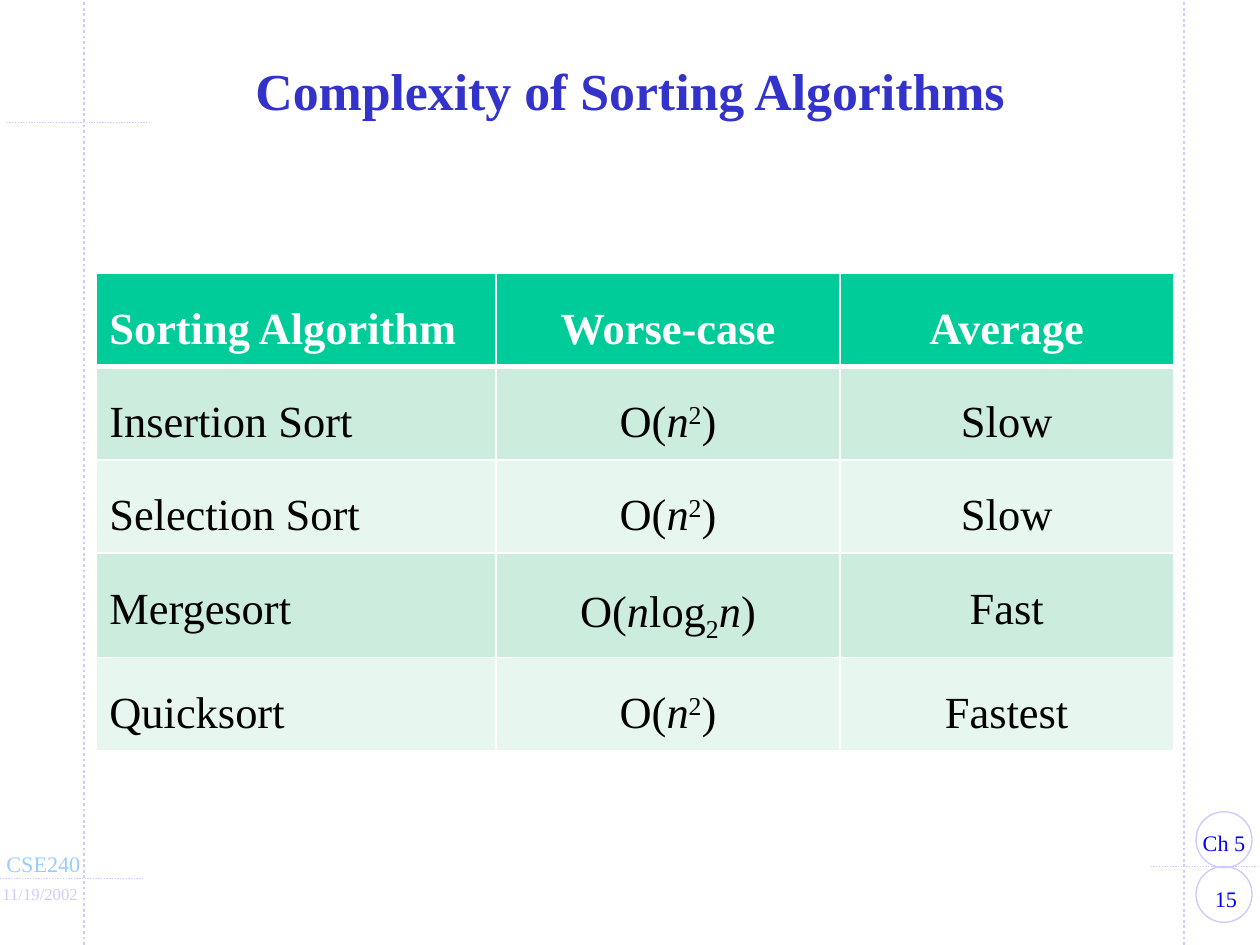
from lxml import etree
from pptx import Presentation
from pptx.dml.color import RGBColor
from pptx.enum.dml import MSO_LINE
from pptx.enum.shapes import MSO_CONNECTOR, MSO_SHAPE
from pptx.enum.text import MSO_ANCHOR, PP_ALIGN
from pptx.oxml.ns import qn
from pptx.util import Inches, Pt

STRAIGHT = MSO_CONNECTOR.STRAIGHT
OVAL = MSO_SHAPE.OVAL
DOTTED = MSO_LINE.ROUND_DOT
LEFT, CENTER = PP_ALIGN.LEFT, PP_ALIGN.CENTER
MIDDLE = MSO_ANCHOR.MIDDLE

FONT = "Times New Roman"
COLORS = {
    "title": "3333CC", "guide": "CCCCFF", "course": "99CCFF", "page": "0000FF",
    "header": "00CC99", "band_dark": "CCECDE", "band_light": "E7F6EF",
    "white": "FFFFFF", "black": "000000",
}


def color(name):
    return RGBColor.from_string(COLORS[name])


def add_run(paragraph, text, size, color_name, bold=False):
    run = paragraph.add_run()
    run.text = text
    run.font.name = FONT
    run.font.size = Pt(size)
    run.font.bold = bold
    run.font.color.rgb = color(color_name)
    return run


prs = Presentation()
prs.slide_width, prs.slide_height = Inches(9.45), Inches(7.09)
slide = prs.slides.add_slide(prs.slide_layouts[5])
shapes = slide.shapes

# Margin guides: x1, y1, x2, y2, width
guides = [
    (0.63, 7.09, 0.63, 0, 1.5),
    (8.88, 7.09, 8.88, 0, 1.5),
    (0, 6.59, 1.08, 6.59, 0.75),
    (8.63, 6.5, 9.5, 6.5, 0.75),
    (0.05, 0.92, 1.13, 0.92, 0.75),
]
for x1, y1, x2, y2, width in guides:
    guide = shapes.add_connector(STRAIGHT, Inches(x1), Inches(y1), Inches(x2), Inches(y2))
    guide.line.color.rgb = color("guide")
    guide.line.width = Pt(width)
    guide.line.dash_style = DOTTED
    etree.SubElement(guide._element.spPr, qn("a:effectLst"))

# Chapter and page rings
for top in (6.09, 6.5):
    ring = shapes.add_shape(OVAL, Inches(8.97), Inches(top), Inches(0.42), Inches(0.42))
    ring.shadow.inherit = False
    ring.fill.background()
    ring.line.color.rgb = color("guide")
    ring.line.width = Pt(0.75)

# Margin labels: text, left, top, width, height, size, color, alignment, wrap
labels = [
    ("15", 8.92, 6.59, 0.55, 0.3, 12, "page", CENTER, True),
    ("Ch 5", 8.92, 6.17, 0.52, 0.3, 12, "page", CENTER, False),
    ("CSE240", -0.05, 6.33, 0.76, 0.3, 12, "course", LEFT, False),
    ("11/19/2002", -0.08, 6.58, 0.77, 0.25, 9, "guide", LEFT, False),
]
for text, left, top, width, height, size, color_name, alignment, wrap in labels:
    label = shapes.add_textbox(Inches(left), Inches(top), Inches(width), Inches(height))
    label.text_frame.word_wrap = wrap
    paragraph = label.text_frame.paragraphs[0]
    paragraph.alignment = alignment
    add_run(paragraph, text, size, color_name)

title = shapes.title
title.left, title.top = Inches(0.69), Inches(0.42)
title.width, title.height = Inches(8.07), Inches(0.58)
title.text_frame.vertical_anchor = MIDDLE
heading = title.text_frame.paragraphs[0]
heading.alignment = CENTER
heading.line_spacing = 0.85
add_run(heading, "Complexity of Sorting Algorithms", 28, "title", bold=True)

# Each cell is a list of (text, style) runs
QUADRATIC = [("O(", ""), ("n", "italic"), ("2", "super"), (")", "")]
LOG_LINEAR = [("O(", ""), ("n", "italic"), ("log", ""), ("2", "sub"), ("n", "italic"), (")", "")]
BASELINES = {"super": "30000", "sub": "-25000"}
complexity_rows = [
    ([("Sorting Algorithm", "")], [("Worse-case", "")], [("Average", "")]),
    ([("Insertion Sort", "")], QUADRATIC, [("Slow", "")]),
    ([("Selection Sort", "")], QUADRATIC, [("Slow", "")]),
    ([("Mergesort", "")], LOG_LINEAR, [("Fast", "")]),
    ([("Quicksort", "")], QUADRATIC, [("Fastest", "")]),
]
column_widths = [3, 2.58, 2.5]
row_heights = [0.65, 0.65, 0.65, 0.73, 0.65]

table = shapes.add_table(
    len(complexity_rows), len(column_widths), Inches(0.72), Inches(2.05),
    Inches(sum(column_widths)), Inches(sum(row_heights))).table
table.horz_banding = False
for column, width in zip(table.columns, column_widths):
    column.width = Inches(width)
for row, height in zip(table.rows, row_heights):
    row.height = Inches(height)

for r, row_content in enumerate(complexity_rows):
    is_header = r == 0
    fill_name = "header" if is_header else ("band_dark" if r % 2 else "band_light")
    border_widths = {"lnL": 1, "lnR": 1, "lnT": 3 if r == 1 else 1, "lnB": 3 if is_header else 1}
    for c, cell_runs in enumerate(row_content):
        cell = table.cell(r, c)
        cell_properties = cell._tc.get_or_add_tcPr()
        for side, width in border_widths.items():
            border = etree.SubElement(cell_properties, qn(f"a:{side}"), w=str(Pt(width)))
            border_fill = etree.SubElement(border, qn("a:solidFill"))
            etree.SubElement(border_fill, qn("a:srgbClr"), val=COLORS["white"])
        cell.fill.solid()
        cell.fill.fore_color.rgb = color(fill_name)

        paragraph = cell.text_frame.paragraphs[0]
        paragraph.alignment = CENTER if c else LEFT
        paragraph.line_spacing = 1.5
        paragraph.space_after = Pt(6)
        for text, style in cell_runs:
            run = add_run(paragraph, text, 24, "white" if is_header else "black", is_header)
            if style == "italic":
                run.font.italic = True
            elif style in BASELINES:
                run.font._element.set("baseline", BASELINES[style])

prs.save("out.pptx")
